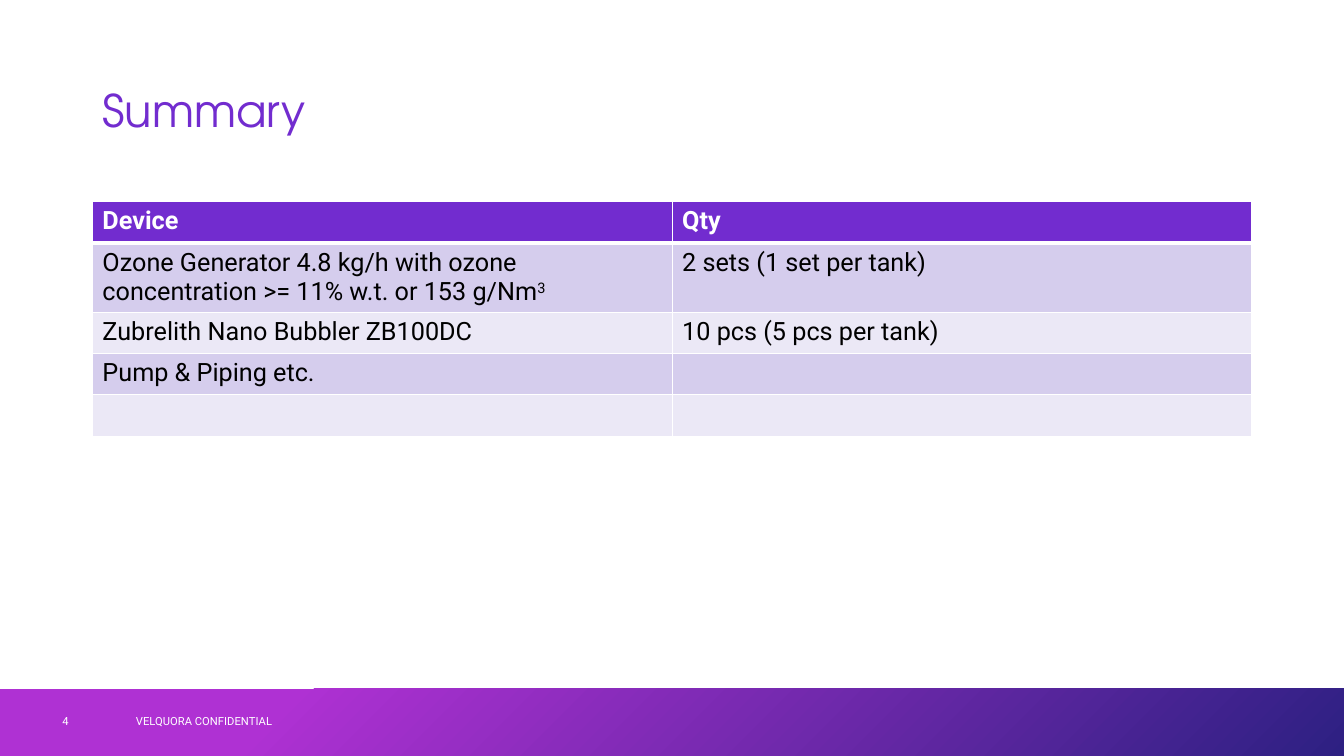
from dataclasses import dataclass, field

from lxml.etree import SubElement
from pptx import Presentation
from pptx.dml.color import RGBColor
from pptx.enum.shapes import MSO_SHAPE
from pptx.enum.text import MSO_ANCHOR as Anchor, PP_ALIGN as Align
from pptx.oxml.ns import qn
from pptx.slide import Slide
from pptx.table import _Cell as Cell
from pptx.util import Emu, Inches, Pt

WHITE = RGBColor(0xFF, 0xFF, 0xFF)
BLACK = RGBColor(0x00, 0x00, 0x00)
PURPLE = RGBColor(0x72, 0x2C, 0xCF)
MAGENTA = RGBColor(0xAF, 0x31, 0xD3)
INDIGO = RGBColor(0x2D, 0x20, 0x82)
LILAC = RGBColor(0xD5, 0xCD, 0xED)
PALE = RGBColor(0xEB, 0xE8, 0xF6)

UNIT = Inches(1) / 12
HEAD_FONT, BODY_FONT = "TeX Gyre Adventor", "Roboto"


@dataclass(frozen=True)
class Box:
    """A rectangle in grid columns and rows."""
    col: float
    row: float
    cols: float
    rows: float

    def emu(self) -> list[Emu]:
        """Return left, top, width and height."""
        return [units(v) for v in (self.col, self.row, self.cols, self.rows)]


@dataclass(frozen=True)
class Label:
    """A small text in the footer band."""
    text: str
    box: Box


@dataclass(frozen=True)
class Row:
    """A table row with its height in grid rows."""
    device: str
    qty: str = ""
    sup: str = ""
    height: float = 4.92
    fmt: dict = field(default_factory=lambda: {"bold": False, "color": BLACK})


BAND = Box(0, 82, 160, 8)
TITLE = Box(11, 4.8, 138, 17.4)
TABLE = Box(11, 24, 138, 27.84)
LABELS = [
    Label("VELQUORA CONFIDENTIAL", Box(15, 83.4, 54, 4.8)),
    Label("4", Box(6.24, 83.4, 8.64, 4.8)),
]
ROWS = [
    Row("Device", "Qty", fmt={"bold": True, "color": WHITE}),
    Row("Ozone Generator 4.8 kg/h with ozone concentration >= 11% w.t. or 153 g/Nm",
        "2 sets (1 set per tank)", "3", 8.16),
    Row("Zubrelith Nano Bubbler ZB100DC", "10 pcs (5 pcs per tank)"),
    Row("Pump & Piping etc."),
    Row(""),
]


def units(n: float) -> Emu:
    """Turn grid units into a length."""
    return Emu(round(n * UNIT))


def add_run(p, text: str, color: RGBColor, **fmt):
    """Append a formatted run to a paragraph."""
    r = p.add_run()
    r.text = text
    r.font.color.rgb = color
    for name, value in fmt.items():
        setattr(r.font, name, value)
    return r


def add_band(s: Slide) -> None:
    """Draw the gradient footer band."""
    sp = s.shapes.add_shape(MSO_SHAPE.RECTANGLE, *BAND.emu())
    sp.shadow.inherit = False
    sp.line.fill.background()
    sp.fill.gradient()
    sp.fill.gradient_angle = 315
    for stop, color, pos in zip(sp.fill.gradient_stops, (MAGENTA, INDIGO), (0.21, 1)):
        stop.color.rgb, stop.position = color, pos


def add_title(s: Slide, text: str) -> None:
    """Place and format the title."""
    sp = s.shapes.title
    sp.left, sp.top, sp.width, sp.height = TITLE.emu()
    sp.text_frame.vertical_anchor = Anchor.MIDDLE
    p = sp.text_frame.paragraphs[0]
    p.alignment, p.line_spacing = Align.LEFT, 0.9
    add_run(p, text, PURPLE, size=Pt(32), name=HEAD_FONT)


def add_label(s: Slide, label: Label) -> None:
    """Write one footer label."""
    tf = s.shapes.add_textbox(*label.box.emu()).text_frame
    tf.word_wrap, tf.vertical_anchor = True, Anchor.MIDDLE
    add_run(tf.paragraphs[0], label.text, WHITE, size=Pt(8), name=BODY_FONT)


def style_cell(cell: Cell, fill: RGBColor, top: int, bottom: int) -> None:
    """Give a cell white borders and a fill."""
    tc_pr = cell._tc.get_or_add_tcPr()
    for side, width in {"L": 1, "R": 1, "T": top, "B": bottom}.items():
        ln = SubElement(tc_pr, qn(f"a:ln{side}"), w=str(Pt(width)))
        SubElement(SubElement(ln, qn("a:solidFill")), qn("a:srgbClr"), val=str(WHITE))
    cell.fill.solid()
    cell.fill.fore_color.rgb = fill


def add_device_table(s: Slide) -> None:
    """Draw the table of devices and quantities."""
    table = s.shapes.add_table(len(ROWS), 2, *TABLE.emu()).table
    for i, row in enumerate(ROWS):
        table.rows[i].height = units(row.height)
        fill = PURPLE if i == 0 else LILAC if i % 2 else PALE
        for j, text in enumerate((row.device, row.qty)):
            cell = table.cell(i, j)
            style_cell(cell, fill, 3 if i == 1 else 1, 3 if i == 0 else 1)
            fmt = {"size": Pt(18), "name": BODY_FONT, **row.fmt}
            p = cell.text_frame.paragraphs[0]
            if text:
                add_run(p, text, **fmt)
            if row.sup and j == 0:
                add_run(p, row.sup, **fmt).font._element.set("baseline", "30000")


def main() -> None:
    """Build and save the summary slide."""
    prs = Presentation()
    prs.slide_width, prs.slide_height = Inches(13.33), Inches(7.5)
    s = prs.slides.add_slide(prs.slide_layouts[5])
    add_band(s)
    add_title(s, "Summary")
    add_device_table(s)
    for label in LABELS:
        add_label(s, label)
    prs.save("out.pptx")


if __name__ == "__main__":
    main()
